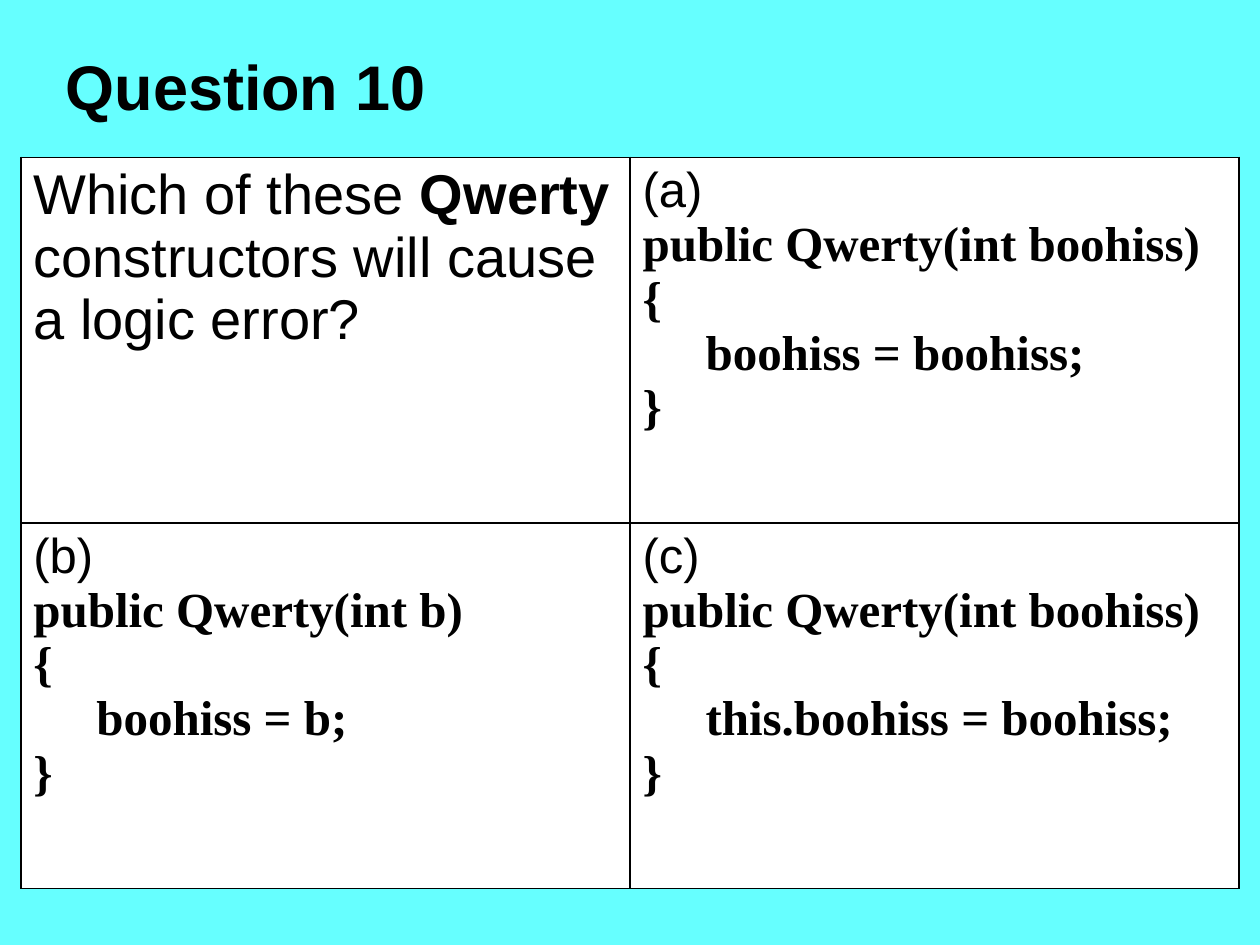
"""Build a quiz slide with a question and three constructor options in a grid."""
from lxml.etree import SubElement
from pptx import Presentation
from pptx.dml.color import RGBColor
from pptx.enum.text import MSO_ANCHOR, MSO_AUTO_SIZE, PP_ALIGN
from pptx.oxml.ns import qn
from pptx.util import Cm, Pt

CYAN = RGBColor(0x66, 0xFF, 0xFF)
WHITE = RGBColor(0xFF, 0xFF, 0xFF)
BLACK = RGBColor(0, 0, 0)
SANS, SERIF = "Arial", "Times New Roman"

TITLE = "Question 10"
QUESTION = [
    ("Which of these ", False),
    ("Qwerty ", True),
    ("constructors will cause a logic error?", False),
]
OPTIONS = [
    ("(a)", "public Qwerty(int boohiss)", "boohiss = boohiss;"),
    ("(b)", "public Qwerty(int b)", "boohiss = b;"),
    ("(c)", "public Qwerty(int boohiss)", "this.boohiss = boohiss;"),
]
COLUMN_WIDTH, ROW_HEIGHT = Cm(12.28), Cm(7.37)
TAB_STOP = Cm(1.27)


def add_run(paragraph, text, size, font_name=SANS, bold=False):
    run = paragraph.add_run()
    run.text = text
    run.font.name = font_name
    run.font.size = Pt(size)
    run.font.bold = bold
    run.font.color.rgb = BLACK


def add_tab_stop(paragraph):
    tabs = SubElement(paragraph._p.get_or_add_pPr(), qn("a:tabLst"))
    SubElement(tabs, qn("a:tab"), pos=str(TAB_STOP), algn="l")


def style_cell(cell):
    properties = cell._tc.get_or_add_tcPr()
    for side in ("a:lnL", "a:lnR", "a:lnT", "a:lnB"):
        line = SubElement(properties, qn(side), w=str(Pt(1)))
        fill = SubElement(line, qn("a:solidFill"))
        SubElement(fill, qn("a:srgbClr"), val=str(BLACK))
    cell.fill.solid()
    cell.fill.fore_color.rgb = WHITE


def write_option(text_frame, label, signature, body):
    lines = [label, signature, "{", "\t" + body, "}"]
    for index, line in enumerate(lines):
        paragraph = text_frame.add_paragraph() if index else text_frame.paragraphs[0]
        add_tab_stop(paragraph)
        is_code = index > 0
        add_run(paragraph, line, 28, SERIF if is_code else SANS, is_code)


def add_title(slide):
    title = slide.shapes.title
    title.left, title.top, title.width, title.height = Cm(1.07), Cm(0.84), Cm(23.92), Cm(1.78)
    text_frame = title.text_frame
    text_frame.auto_size = MSO_AUTO_SIZE.SHAPE_TO_FIT_TEXT
    text_frame.vertical_anchor = MSO_ANCHOR.TOP
    paragraph = text_frame.paragraphs[0]
    paragraph.alignment = PP_ALIGN.LEFT
    add_run(paragraph, TITLE, 36, bold=True)


def add_grid(slide):
    table = slide.shapes.add_table(
        2, 2, Cm(0.42), Cm(3.17), 2 * COLUMN_WIDTH, 2 * ROW_HEIGHT
    ).table
    table.first_row = table.horz_banding = False
    for column in table.columns:
        column.width = COLUMN_WIDTH
    for row in table.rows:
        row.height = ROW_HEIGHT
    question_cell, *option_cells = table.iter_cells()
    for cell in table.iter_cells():
        style_cell(cell)
    for text, bold in QUESTION:
        add_run(question_cell.text_frame.paragraphs[0], text, 32, bold=bold)
    for cell, option in zip(option_cells, OPTIONS):
        write_option(cell.text_frame, *option)


def main():
    presentation = Presentation()
    presentation.slide_width, presentation.slide_height = Cm(25.4), Cm(19.05)
    slide = presentation.slides.add_slide(presentation.slide_layouts[5])
    slide.background.fill.solid()
    slide.background.fill.fore_color.rgb = CYAN
    add_title(slide)
    add_grid(slide)
    presentation.save("out.pptx")


if __name__ == "__main__":
    main()
